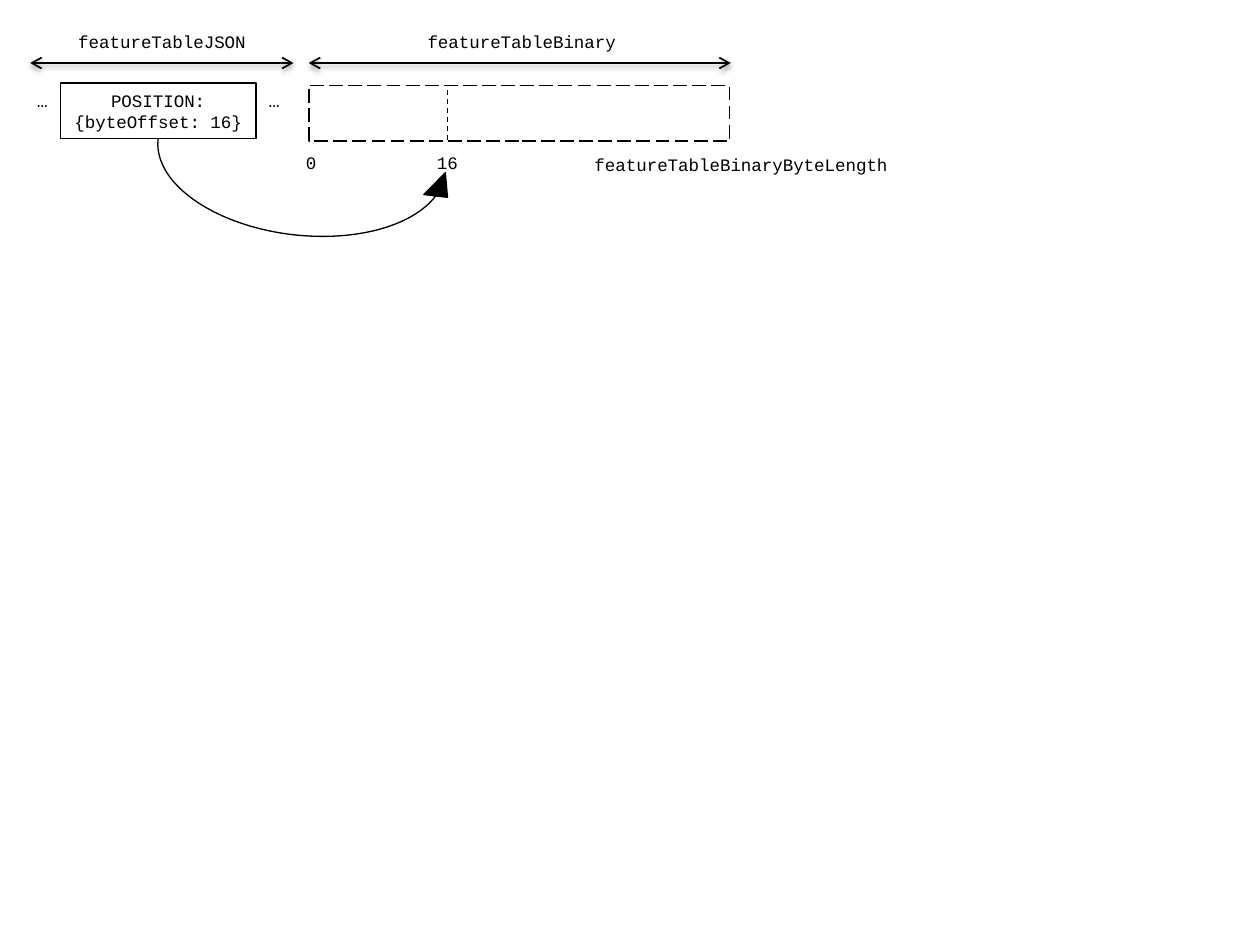
from dataclasses import dataclass

from lxml.etree import SubElement
from pptx import Presentation
from pptx.dml.color import RGBColor
from pptx.enum.dml import MSO_LINE as Dash
from pptx.enum.shapes import MSO_CONNECTOR as Connector, MSO_SHAPE as Preset
from pptx.enum.text import MSO_ANCHOR as Anchor, PP_ALIGN as Align
from pptx.oxml.ns import qn
from pptx.util import Inches, Pt

COLORS = {"ink": "000000"}
FONT = "Courier New"
ARROW_Y = 0.5


@dataclass
class Label:
    """A text box placed in inches."""
    text: str
    left: float
    top: float
    width: float
    height: float = 0.27
    size: float = 10
    align: Align = Align.LEFT
    wrap: bool = True


@dataclass
class Span:
    """A horizontal extent marked by a double-headed arrow."""
    left: float
    right: float


LABELS = [
    Label("featureTableJSON", 0.51, 0.2, 1.55, align=Align.CENTER, wrap=False),
    Label("featureTableBinary", 3.28, 0.2, 1.72, align=Align.CENTER, wrap=False),
    *(Label("…", left, 0.66, 0.29, 0.47, 10.5, Align.CENTER, False)
      for left in (0.19, 2.03)),
    Label("0", 2.33, 1.16, 0.24),
    Label("16", 3.37, 1.16, 0.46),
    Label("featureTableBinaryByteLength", 4.62, 1.17, 2.64),
]
SPANS = [Span(0.24, 2.33), Span(2.45, 5.8)]


def ink() -> RGBColor:
    """Return the drawing colour."""
    return RGBColor.from_string(COLORS["ink"])


def style_line(line, width: float, dash=None) -> None:
    """Set colour, width and dash of a line."""
    line.color.rgb = ink()
    line.width = Pt(width)
    if dash is not None:
        line.dash_style = dash


def write(shape, text: str, *, size: float = 10, align=Align.CENTER,
          anchor=Anchor.TOP, wrap: bool = False) -> None:
    """Write one paragraph for each line of the text."""
    frame = shape.text_frame
    frame.word_wrap = wrap
    frame.vertical_anchor = anchor
    frame.text = text
    for para in frame.paragraphs:
        para.alignment = align
        for run in para.runs:
            run.font.name = FONT
            run.font.size = Pt(size)
            run.font.color.rgb = ink()


def add_label(page, label: Label) -> None:
    """Add a text box."""
    box = page.shapes.add_textbox(Inches(label.left), Inches(label.top),
                                  Inches(label.width), Inches(label.height))
    write(box, label.text, size=label.size, align=label.align, wrap=label.wrap)


def add_preset(page, preset, left: float, top: float, width: float,
               height: float, *, line_width: float = 1, dash=None):
    """Add an unfilled outlined shape."""
    shape = page.shapes.add_shape(preset, Inches(left), Inches(top),
                                  Inches(width), Inches(height))
    shape.shadow.inherit = False
    shape.fill.background()
    style_line(shape.line, line_width, dash)
    return shape


def add_line(page, start: tuple[float, float], end: tuple[float, float], *,
             width: float = 1, dash=None):
    """Add a straight line and return it with its empty effect list."""
    line = page.shapes.add_connector(Connector.STRAIGHT, *map(Inches, start + end))
    style_line(line.line, width, dash)
    effects = SubElement(line._element.spPr, qn("a:effectLst"))
    return line, effects


def add_span(page, span: Span) -> None:
    """Add a double-headed arrow with a soft shadow."""
    arrow, effects = add_line(page, (span.left, ARROW_Y), (span.right, ARROW_Y))
    outline = arrow.line._get_or_add_ln()
    for end in ("a:headEnd", "a:tailEnd"):
        SubElement(outline, qn(end), type="arrow")
    shadow = SubElement(effects, qn("a:outerShdw"), blurRad=str(Pt(3.1)),
                        dist=str(Pt(1.6)), dir="5400000", rotWithShape="0")
    color = SubElement(shadow, qn("a:srgbClr"), val=COLORS["ink"])
    SubElement(color, qn("a:alpha"), val="38000")


def add_offset_arrow(page) -> None:
    """Add the curved arrow from the property to its byte offset."""
    arrow = add_preset(page, Preset.CURVED_UP_ARROW, 1.21, 1.24, 2.39, 0.63,
                       line_width=0.75)
    arrow.rotation = 6.7
    arrow.fill.solid()
    arrow.fill.fore_color.rgb = ink()
    for index, value in enumerate((0, 0.3, 0.306)):
        arrow.adjustments[index] = value


def main() -> None:
    """Build and save the slide."""
    deck = Presentation()
    deck.slide_width, deck.slide_height = Inches(10), Inches(7.5)
    page = deck.slides.add_slide(deck.slide_layouts[6])
    add_preset(page, Preset.RECTANGLE, 2.45, 0.68, 3.34, 0.44, dash=Dash.LONG_DASH)
    position = add_preset(page, Preset.RECTANGLE, 0.48, 0.66, 1.55, 0.44)
    write(position, "POSITION:\n{byteOffset: 16}", anchor=Anchor.MIDDLE)
    for label in LABELS:
        add_label(page, label)
    for span in SPANS:
        add_span(page, span)
    add_offset_arrow(page)
    add_line(page, (3.55, 1.11), (3.55, 0.68), width=0.75, dash=Dash.DASH)
    deck.save("out.pptx")


main()
